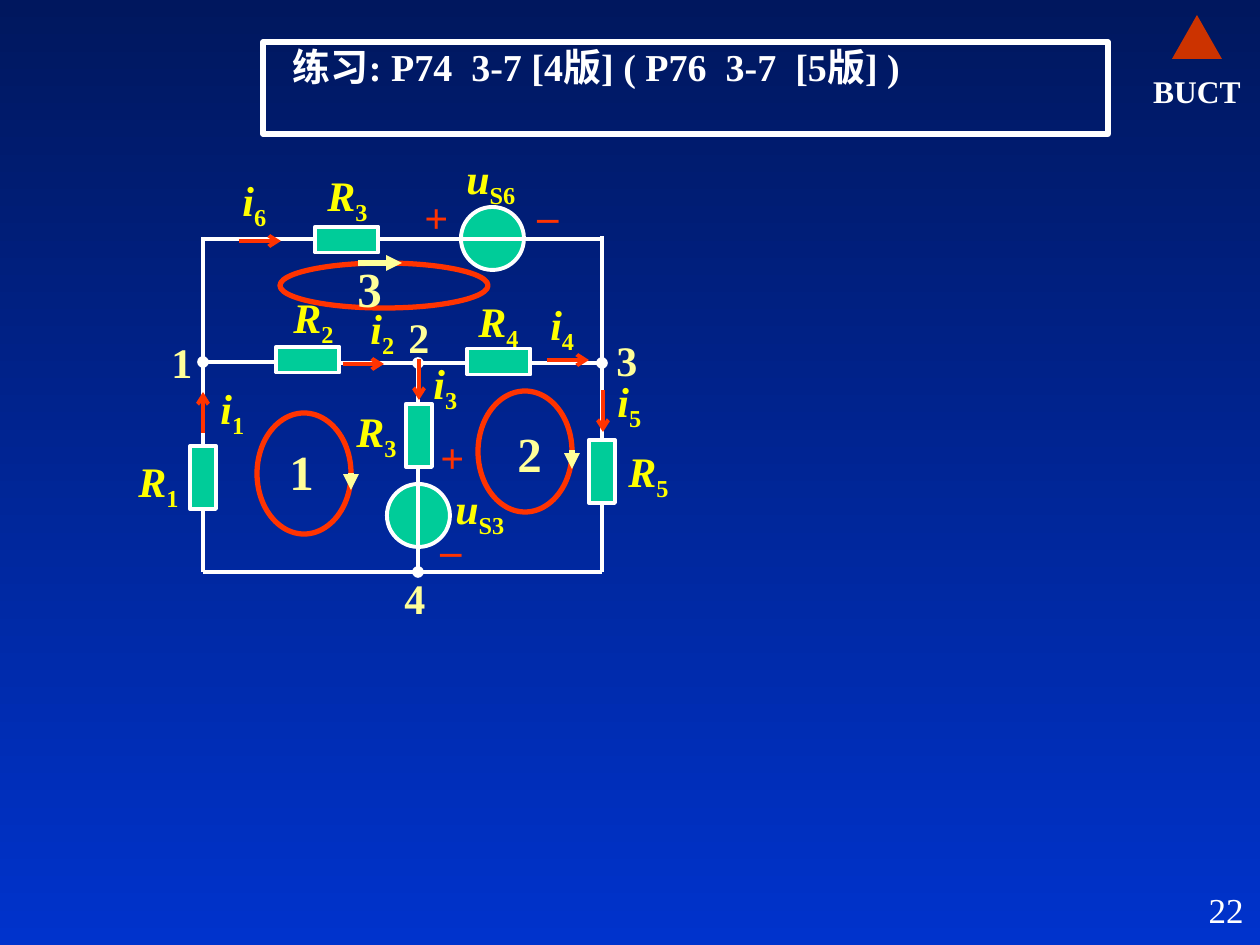
"""Build the circuit exercise slide with its branches, currents and loops."""
from typing import NamedTuple

import lxml.etree
import pptx
import pptx.dml.color
import pptx.enum.shapes
import pptx.enum.text
import pptx.oxml.ns
import pptx.util

EMU_PER_PX = 914400 / 126
RGB = pptx.dml.color.RGBColor
WHITE = RGB(0xFF, 0xFF, 0xFF)
YELLOW = RGB(0xFF, 0xFF, 0x00)
CREAM = RGB(0xFF, 0xFF, 0x99)
RED = RGB(0xFF, 0x33, 0x00)
GREEN = RGB(0x00, 0xCC, 0x99)
EMBLEM_RED = RGB(0xCC, 0x33, 0x00)
NIGHT = RGB(0x00, 0x17, 0x5E)
BLUE = RGB(0x00, 0x33, 0xCC)
FONT = "Times New Roman"
SHAPE = pptx.enum.shapes.MSO_SHAPE
ALIGN = pptx.enum.text.PP_ALIGN
ANCHOR = pptx.enum.text.MSO_ANCHOR
FIT = pptx.enum.text.MSO_AUTO_SIZE
RESISTOR_WIDTH, RESISTOR_LENGTH, SOURCE_SIZE = 26, 63, 63
LABEL_WIDTHS = {"R": 66, "i": 49, "u": 74}


class Box(NamedTuple):
    left: int
    top: int
    width: int
    height: int


class Line(NamedTuple):
    x1: int
    y1: int
    x2: int
    y2: int
    head: str = ""
    tail: str = ""


class Resistor(NamedTuple):
    left: int
    top: int
    rotation: int = 0


class Label(NamedTuple):
    symbol: str
    subscript: str
    left: int
    top: int


class Mark(NamedTuple):
    text: str
    left: int
    top: int


class Loop(NamedTuple):
    ring: Box
    arrow: Line
    mark: Mark


SOURCES = [(387, 484), (461, 207)]
WIRES = [
    Line(277, 362, 203, 362, tail="oval"),
    Line(203, 237, 203, 572),
    Line(340, 363, 602, 363, tail="oval"),
    Line(418, 363, 418, 572, head="oval", tail="oval"),
    Line(203, 572, 602, 572),
    Line(602, 572, 602, 236),
    Line(203, 239, 602, 239),
]
RESISTORS = [
    Resistor(190, 446), Resistor(406, 404), Resistor(589, 440),
    Resistor(334, 208, 270), Resistor(486, 330, 270), Resistor(295, 328, 270),
]
CURRENTS = [
    Line(203, 433, 203, 392), Line(343, 364, 384, 364), Line(419, 359, 419, 400),
    Line(547, 360, 589, 360), Line(603, 390, 603, 432), Line(239, 241, 281, 241),
]
LABELS = [
    Label("u", "S3", 443, 476), Label("u", "S6", 454, 146),
    Label("R", "1", 126, 449), Label("R", "3", 344, 399), Label("R", "5", 616, 439),
    Label("R", "3", 315, 163), Label("R", "4", 466, 289), Label("R", "2", 281, 285),
    Label("i", "3", 421, 351), Label("i", "1", 208, 376), Label("i", "2", 358, 296),
    Label("i", "4", 538, 292), Label("i", "5", 605, 369), Label("i", "6", 230, 168),
]
POLARITIES = [Mark("_", 428, 503), Mark("_", 525, 169), Mark("+", 412, 185), Mark("+", 428, 425)]
NODES = [Mark("1", 159, 330), Mark("2", 396, 305), Mark("3", 604, 328), Mark("4", 392, 566)]
LOOPS = [
    Loop(Box(257, 413, 94, 121), Line(351, 473, 351, 490), Mark("1", 277, 435)),
    Loop(Box(478, 391, 94, 121), Line(572, 450, 572, 469), Mark("2", 505, 417)),
    Loop(Box(280, 263, 208, 45), Line(358, 263, 402, 263), Mark("3", 345, 252)),
]


def emu(*lengths: int) -> list[int]:
    """Turn px lengths into EMU."""
    return [round(length * EMU_PER_PX) for length in lengths]


def apply(target: object, values: dict) -> None:
    """Set each named attribute of the target."""
    for name, value in values.items():
        setattr(target, name, value)


def draw_shape(page, kind, box: Box, fill=None, line=None, weight=2.25, rotation=0):
    """Draw a preset shape with an optional fill and outline."""
    shape = page.shapes.add_shape(kind, *emu(*box))
    shape.shadow.inherit = False
    shape.rotation = rotation
    if fill is None:
        shape.fill.background()
    else:
        shape.fill.solid()
        shape.fill.fore_color.rgb = fill
    if line is None:
        shape.line.fill.background()
    else:
        shape.line.color.rgb = line
        shape.line.width = pptx.util.Pt(weight)
    return shape


def draw_line(page, line: Line, color, weight=2.25) -> None:
    """Draw a straight connector with optional line ends."""
    kind = pptx.enum.shapes.MSO_CONNECTOR.STRAIGHT
    connector = page.shapes.add_connector(kind, *emu(line.x1, line.y1, line.x2, line.y2))
    connector.line.color.rgb = color
    connector.line.width = pptx.util.Pt(weight)
    qn = pptx.oxml.ns.qn
    properties = connector.line._get_or_add_ln()
    for tag, end in (("a:headEnd", line.head), ("a:tailEnd", line.tail)):
        if end:
            lxml.etree.SubElement(properties, qn(tag), type=end)
    lxml.etree.SubElement(connector._element.spPr, qn("a:effectLst"))


def add_span(para, text: str, size: float, color, bold=True, italic=False):
    """Add a formatted run to a paragraph."""
    span = para.add_run()
    span.text = text
    apply(span.font, {"name": FONT, "size": pptx.util.Pt(size), "bold": bold, "italic": italic})
    span.font.color.rgb = color
    return span


def add_box(page, box: Box, wrap=True, auto_size=FIT.SHAPE_TO_FIT_TEXT):
    """Add a text box and return its frame."""
    frame = page.shapes.add_textbox(*emu(*box)).text_frame
    apply(frame, {"word_wrap": wrap, "auto_size": auto_size})
    return frame


def draw_label(page, label: Label) -> None:
    """Draw an italic quantity symbol with its subscript."""
    frame = add_box(page, Box(label.left, label.top, LABEL_WIDTHS[label.symbol], 71), wrap=False)
    para = frame.paragraphs[0]
    add_span(para, label.symbol, 24, YELLOW, italic=True)
    subscript = add_span(para, label.subscript, 24, YELLOW)
    subscript._r.get_or_add_rPr().set("baseline", "-25000")


def draw_mark(page, mark: Mark, width: int, height: int, size: float, color, wrap=True) -> None:
    """Draw a bold single-character mark."""
    frame = add_box(page, Box(mark.left, mark.top, width, height), wrap)
    add_span(frame.paragraphs[0], mark.text, size, color)


def draw_frame(page) -> None:
    """Draw the background, emblem, title and page number."""
    fill = page.background.fill
    fill.gradient()
    fill.gradient_angle = 270
    for stop, color in zip(fill.gradient_stops, (NIGHT, BLUE)):
        stop.color.rgb = color
    draw_shape(page, SHAPE.ISOSCELES_TRIANGLE, Box(1172, 15, 50, 44), EMBLEM_RED)
    name = add_box(page, Box(1143, 72, 108, 38), auto_size=FIT.NONE)
    apply(name, dict.fromkeys(("margin_left", "margin_right", "margin_top", "margin_bottom"), 0))
    name.vertical_anchor = ANCHOR.MIDDLE
    name.paragraphs[0].alignment = ALIGN.CENTER
    add_span(name.paragraphs[0], "BUCT", 18, WHITE)
    title = draw_shape(page, SHAPE.RECTANGLE, Box(263, 42, 845, 92), line=WHITE, weight=3).text_frame
    apply(title, {"word_wrap": True, "vertical_anchor": ANCHOR.TOP, "margin_left": emu(30)[0]})
    apply(title.paragraphs[0], {"alignment": ALIGN.LEFT, "line_spacing": 0.9})
    add_span(title.paragraphs[0], "练习: P74  3-7 [4版] ( P76  3-7  [5版] )", 21.7, WHITE)
    number = add_box(page, Box(994, 882, 262, 63), auto_size=FIT.NONE)
    number.paragraphs[0].alignment = ALIGN.RIGHT
    add_span(number.paragraphs[0], "22", 20, WHITE, bold=False)


def draw_circuit(page) -> None:
    """Draw the circuit with its labels and loops."""
    for left, top in SOURCES:
        draw_shape(page, SHAPE.OVAL, Box(left, top, SOURCE_SIZE, SOURCE_SIZE), GREEN, WHITE)
    for wire in WIRES:
        draw_line(page, wire, WHITE)
    for left, top, rotation in RESISTORS:
        box = Box(left, top, RESISTOR_WIDTH, RESISTOR_LENGTH)
        draw_shape(page, SHAPE.RECTANGLE, box, GREEN, WHITE, rotation=rotation)
    for current in CURRENTS:
        draw_line(page, current._replace(tail="arrow"), RED)
    for label in LABELS:
        draw_label(page, label)
    for polarity in POLARITIES:
        draw_mark(page, polarity, 48, 63, 24, RED, wrap=False)
    for node in NODES:
        draw_mark(page, node, 129, 63, 24, CREAM)
    for loop in LOOPS:
        draw_shape(page, SHAPE.OVAL, loop.ring, line=RED, weight=3)
        draw_line(page, loop.arrow._replace(tail="triangle"), CREAM, 3)
        draw_mark(page, loop.mark, 129, 72, 28, CREAM)


def main() -> None:
    """Build and save the deck."""
    deck = pptx.Presentation()
    deck.slide_width, deck.slide_height = emu(1260, 945)
    page = deck.slides.add_slide(deck.slide_layouts[6])
    draw_frame(page)
    draw_circuit(page)
    deck.save("out.pptx")


if __name__ == "__main__":
    main()
